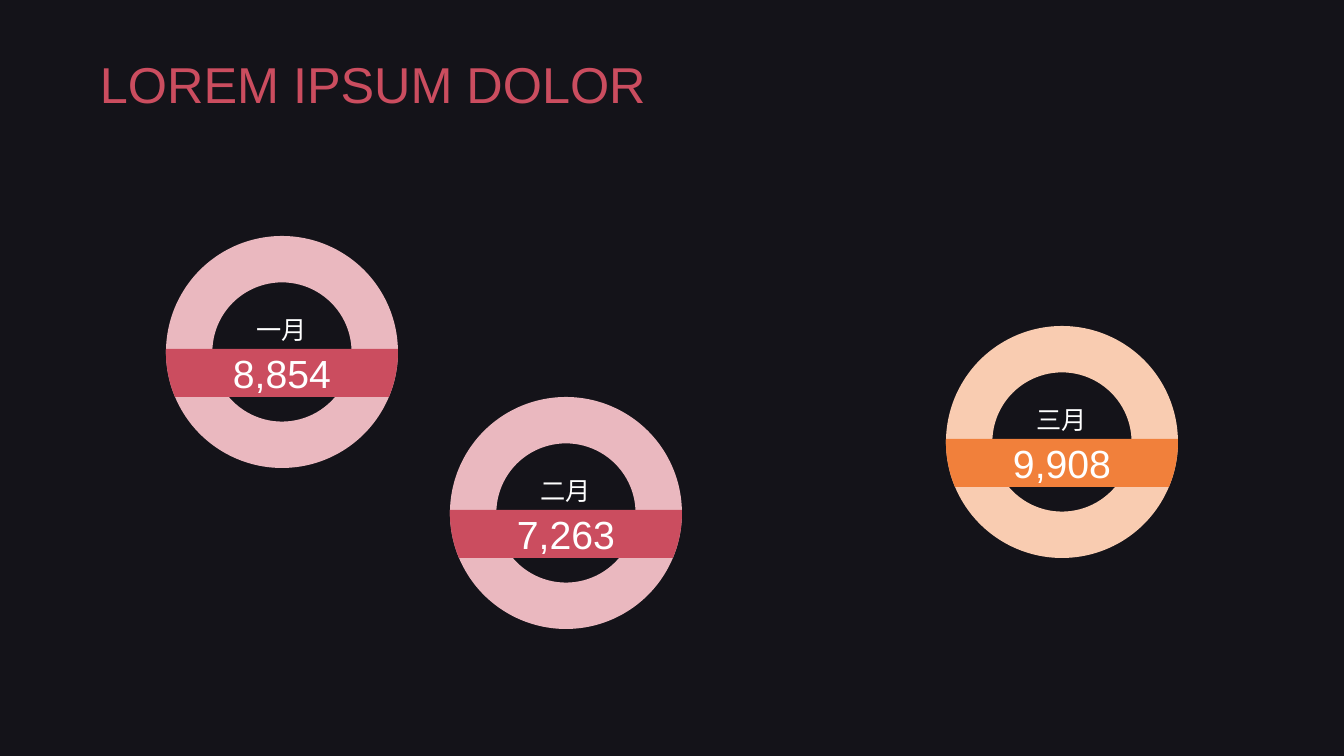
import math

from lxml import etree
from pptx import Presentation
from pptx import util as u
from pptx.dml.color import RGBColor
from pptx.enum import shapes, text
from pptx.oxml.ns import qn

PX = 914400 / 100.8
WIDTH, HEIGHT = 1344, 756
COLORS = {
    "backdrop": "3F3F3F", "veil": "010009", "white": "FFFFFF",
    "rose": "CB4D5F", "pale rose": "EAB8BF",
    "orange": "F1803B", "pale orange": "F9CCB1",
}


def px(*lengths):
    return [u.Emu(round(length * PX)) for length in lengths]


def write(shape, words, size, color="white", align=text.PP_ALIGN.CENTER,
          insets=(10, 5, 10, 5), line_spacing=None):
    frame = shape.text_frame
    frame.word_wrap = True
    frame.vertical_anchor = text.MSO_ANCHOR.MIDDLE
    (frame.margin_left, frame.margin_top,
     frame.margin_right, frame.margin_bottom) = px(*insets)
    line = frame.paragraphs[0]
    line.alignment = align
    line.line_spacing = line_spacing
    run = line.add_run()
    run.text = words
    run.font.name = "Arial"
    run.font.size = u.Pt(size)
    run.font.color.rgb = RGBColor.from_string(COLORS[color])


prs = Presentation()
prs.slide_width, prs.slide_height = px(WIDTH, HEIGHT)
slide = prs.slides.add_slide(prs.slide_layouts[6])
slide.background.fill.solid()
slide.background.fill.fore_color.rgb = RGBColor.from_string(COLORS["backdrop"])

veil = slide.shapes.add_shape(shapes.MSO_SHAPE.RECTANGLE, *px(0, 0, WIDTH, HEIGHT))
paints = [(veil, "veil")]

# Each band is a slice of its ring's disc, bounded by the outer circle.
DIAMETER, RADIUS = 232, 116
BAND_TOP, BAND_BOTTOM = -3, 45
slice_right = [(math.sqrt(RADIUS ** 2 - y ** 2), y)
               for y in range(BAND_TOP, BAND_BOTTOM + 1, 3)]
slice_outline = slice_right + [(-x, y) for x, y in reversed(slice_right)]

months = [
    ("一月", "8,854", 166, 236, "rose"),
    ("二月", "7,263", 450, 397, "rose"),
    ("三月", "9,908", 946, 326, "orange"),
]
for month, value, left, top, hue in months:
    ring = slide.shapes.add_shape(shapes.MSO_SHAPE.DONUT,
                                  *px(left, top, DIAMETER, DIAMETER))
    ring.adjustments[0] = 0.2
    write(ring, month, 18, insets=(10, 0, 10, 46))

    outline = [px(left + RADIUS + x, top + RADIUS + y) for x, y in slice_outline]
    builder = slide.shapes.build_freeform(*outline[0])
    builder.add_line_segments(outline[1:], close=True)
    band = builder.convert_to_shape()
    write(band, value, 28)
    paints += [(ring, "pale " + hue), (band, hue)]

for shape, color in paints:
    shape.shadow.inherit = False
    shape.line.fill.background()
    shape.fill.solid()
    shape.fill.fore_color.rgb = RGBColor.from_string(COLORS[color])

veil_color = veil.fill._xPr.find(qn("a:solidFill"))[0]
etree.SubElement(veil_color, qn("a:alpha"), val="69000")

title = slide.shapes.add_textbox(*px(93, 40, 1159, 95))
write(title, "LOREM IPSUM DOLOR", 36, color="rose", align=text.PP_ALIGN.LEFT,
      insets=(7, 4, 7, 4), line_spacing=0.9)

prs.save("out.pptx")
